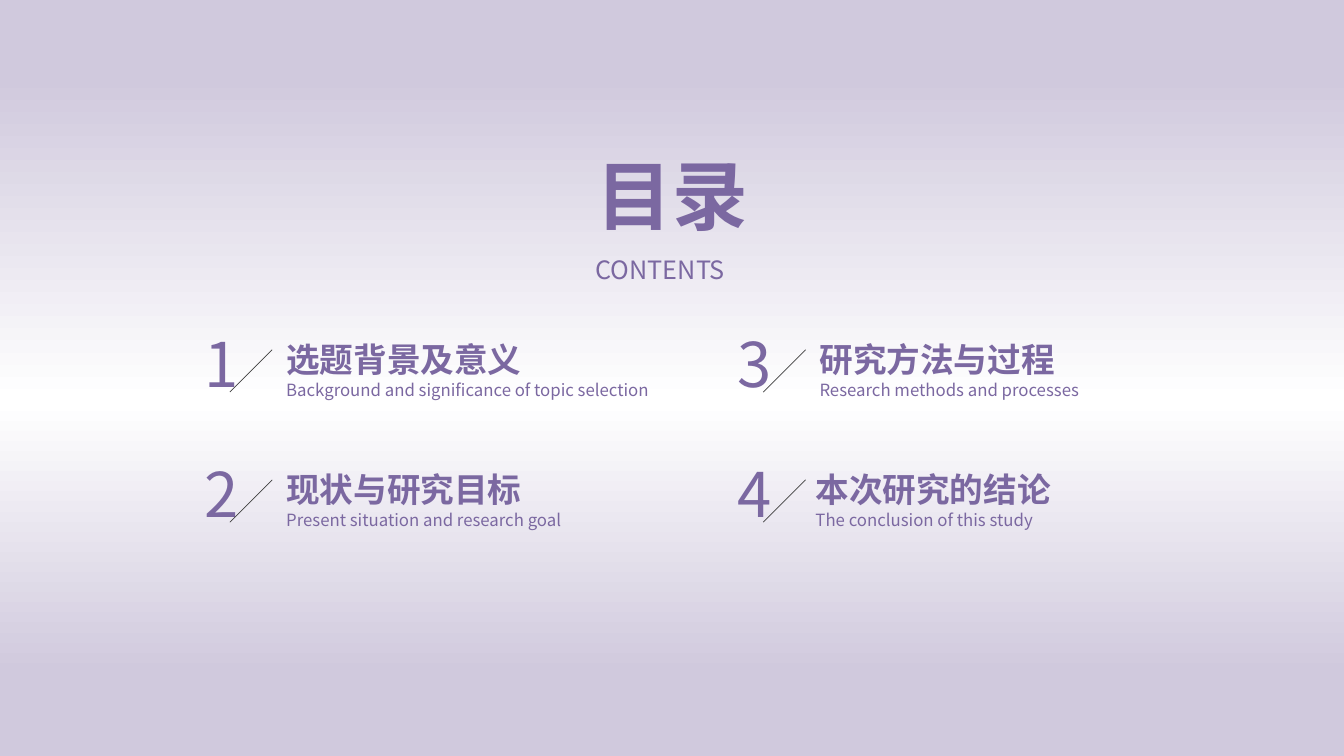
from copy import deepcopy

from lxml import etree
from pptx import Presentation
from pptx.dml.color import RGBColor
from pptx.enum import shapes, text
from pptx.oxml import ns
from pptx.util import Inches, Pt

# Content: number, heading, translation, left edge of the wording
COLUMNS = [
    [("1", "选题背景及意义", "Background and significance of topic selection", 2.74),
     ("2", "现状与研究目标", "Present situation and research goal", 2.74)],
    [("3", "研究方法与过程", "Research methods and processes", 8.03),
     ("4", "本次研究的结论", "The conclusion of this study", 7.99)],
]
TITLE, SUBTITLE = "目录", "CONTENTS"

# Style
FONT = "Noto Sans CJK SC"
PURPLE = RGBColor(0x7B, 0x68, 0xA1)
LILAC = RGBColor(0xD0, 0xC9, 0xDD)
WHITE = RGBColor(0xFF, 0xFF, 0xFF)
GRAY = RGBColor(0x40, 0x40, 0x40)
BACKGROUND_STOPS = [(0.10, LILAC), (0.53, WHITE), (0.89, LILAC)]

# Grid
LEFT, TOP = 1.92, 3.18
COLUMN_STEP, ROW_STEP = 5.29, 1.29

presentation = Presentation()
presentation.slide_width, presentation.slide_height = Inches(13.33), Inches(7.5)
slide = presentation.slides.add_slide(presentation.slide_layouts[6])


def paint_background():
    fill = slide.background.fill
    fill.gradient()
    fill.gradient_angle = 270
    stop_list = slide.element.find(".//" + ns.qn("a:gsLst"))
    stop_list.append(deepcopy(stop_list[0]))
    for stop, (position, color) in zip(fill.gradient_stops, BACKGROUND_STOPS):
        stop.position = position
        stop.color.rgb = color


def add_text(words, left, top, width, height, size, bold=False, wrap=False,
             align=text.PP_ALIGN.LEFT, spacing=None):
    box = slide.shapes.add_textbox(*map(Inches, (left, top, width, height)))
    frame = box.text_frame
    frame.text = words
    frame.word_wrap = wrap
    frame.auto_size = text.MSO_AUTO_SIZE.SHAPE_TO_FIT_TEXT
    paragraph = frame.paragraphs[0]
    paragraph.alignment = align
    if spacing:
        paragraph.line_spacing = spacing
    font = paragraph.runs[0].font
    font.size, font.bold, font.name = Pt(size), bold, FONT
    font.color.rgb = PURPLE
    # East Asian typeface follows the Latin one
    latin = box.element.find(".//" + ns.qn("a:latin"))
    latin.addnext(latin.makeelement(ns.qn("a:ea"), {"typeface": FONT}))


def add_slash(left, top):
    line = slide.shapes.add_connector(
        shapes.MSO_CONNECTOR.STRAIGHT,
        *map(Inches, (left + 0.78, top + 0.29, left + 0.36, top + 0.71)))
    line.line.color.rgb = GRAY
    line.line.width = Pt(0.5)
    etree.SubElement(line.element.spPr, ns.qn("a:effectLst"))


paint_background()

# Contents entries
for column, entries in enumerate(COLUMNS):
    for row, (number, heading, translation, text_left) in enumerate(entries):
        left = LEFT + column * COLUMN_STEP
        top = TOP + row * ROW_STEP
        add_text(heading, text_left, top + 0.13, 2.62, 0.5, 24, bold=True)
        add_text(translation, text_left, top + 0.54, 3.87, 0.3, 12, wrap=True)
        add_text(number, left, top, 0.55, 0.84, 44, align=text.PP_ALIGN.CENTER)
        add_slash(left, top)

# Title
add_text(TITLE, 5.79, 1.43, 1.76, 1.01, 54, bold=True, align=text.PP_ALIGN.CENTER)
add_text(SUBTITLE, 5.81, 2.32, 1.72, 0.56, 18, wrap=True,
         align=text.PP_ALIGN.JUSTIFY, spacing=1.5)

presentation.save("out.pptx")
